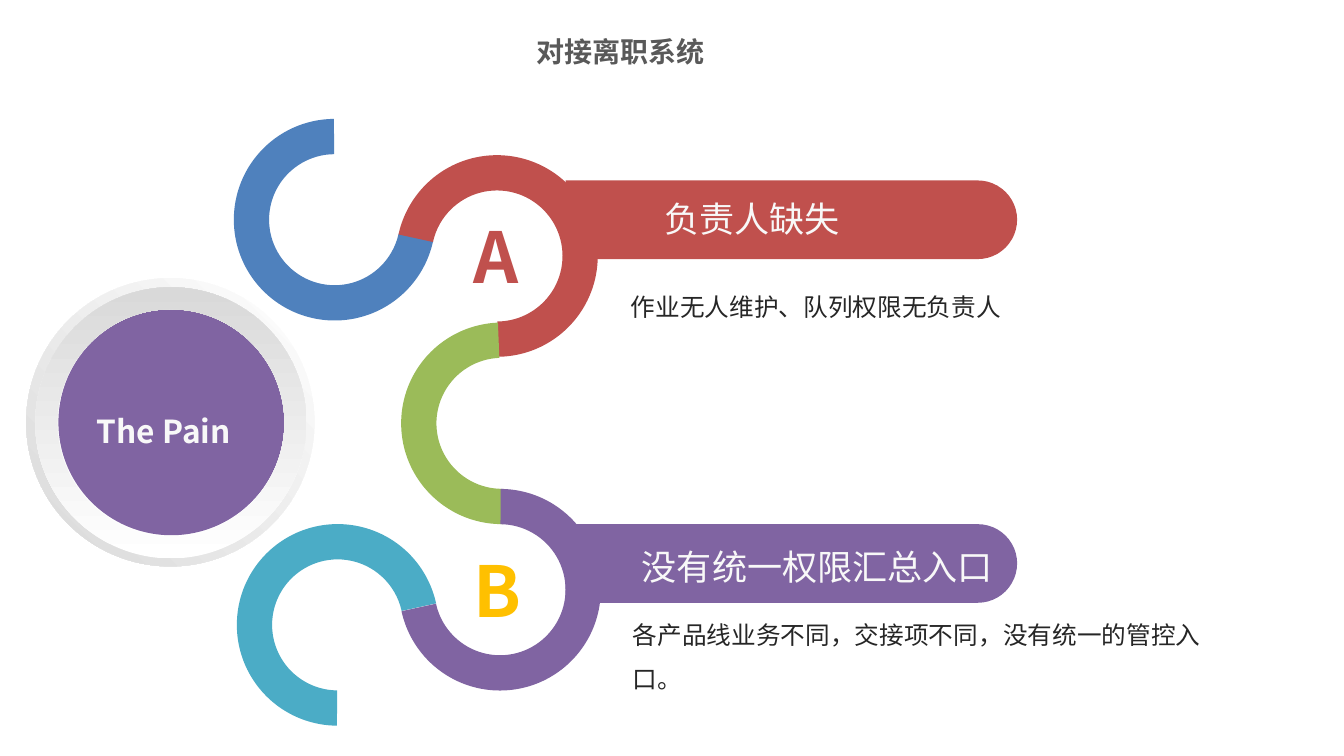
from lxml import etree
from pptx import Presentation, util as u
from pptx.dml.color import RGBColor
from pptx.enum import shapes, text
from pptx.oxml import ns

CELL = u.Inches(0.1)  # one column or row of the page grid
COLUMNS, ROWS = 133.33, 75
FONT = "Noto Sans CJK SC"

WHITE = RGBColor(0xFF, 0xFF, 0xFF)
SILVER = RGBColor(0xD9, 0xD9, 0xD9)
PALE = RGBColor(0xF8, 0xF8, 0xF8)
GREY = RGBColor(0x59, 0x59, 0x59)
INK = RGBColor(0x26, 0x26, 0x26)
BLUE = RGBColor(0x4F, 0x81, 0xBD)
RED = RGBColor(0xC0, 0x50, 0x4D)
GREEN = RGBColor(0x9B, 0xBB, 0x59)
PURPLE = RGBColor(0x80, 0x64, 0xA2)
TEAL = RGBColor(0x4B, 0xAC, 0xC6)
AMBER = RGBColor(0xFF, 0xC0, 0x00)

CENTER = text.PP_ALIGN.CENTER
ARC_SIZE, ARC_START, ARC_END, ARC_BAND = 20, 54.24, 208.61, 0.175
BAR_LEFT, BAR_LENGTH, BAR_HEIGHT = 56.1, 44.8, 7.8


def grid(*cells):
    return [round(cell * CELL) for cell in cells]


def write(frame, words, size, color, bold=False, align=None, spacing=None):
    """Fill a text frame with one styled paragraph."""
    frame.text = words
    para = frame.paragraphs[0]
    para.alignment = align
    para.line_spacing = spacing
    for span in para.runs:
        font = span.font
        font.size, font.bold, font.name = u.Pt(size), bold, FONT
        font.color.rgb = color
        east_asian = etree.SubElement(font._element, ns.qn("a:ea"))
        east_asian.set("typeface", FONT)


def add_text(owner, place, words, size, color, wrap=True, **style):
    box = owner.add_textbox(*grid(*place))
    frame = box.text_frame
    frame.word_wrap = wrap
    frame.auto_size = text.MSO_AUTO_SIZE.SHAPE_TO_FIT_TEXT
    write(frame, words, size, color, **style)


def add_preset(owner, kind, place, color=None, adjustments=()):
    shape = owner.add_shape(kind, *grid(*place))
    shape.shadow.inherit = False
    shape.line.fill.background()
    for index, value in enumerate(adjustments):
        shape.adjustments[index] = value
    if color is not None:
        shape.fill.solid()
        shape.fill.fore_color.rgb = color
    return shape


def add_ring(owner, left, top, size, band, angle):
    ring = add_preset(owner, shapes.MSO_SHAPE.DONUT, (left, top, size, size),
                      adjustments=[band])
    ring.fill.gradient()
    ring.fill.gradient_angle = angle
    for stop, color in zip(ring.fill.gradient_stops, (WHITE, SILVER)):
        stop.color.rgb = color


def add_arc(owner, left, top, color, rotation=0, flipped=False, start=ARC_START):
    arc = add_preset(owner, shapes.MSO_SHAPE.BLOCK_ARC,
                     (left, top, ARC_SIZE, ARC_SIZE), color,
                     (start, ARC_END, ARC_BAND))
    arc.rotation = rotation
    if flipped:
        arc.element.spPr.find(ns.qn("a:xfrm")).set("flipV", "1")


def add_bar(owner, top, color):
    """Add a bar rounded at its right end: an upright tab turned on its side."""
    shift = (BAR_LENGTH - BAR_HEIGHT) / 2
    bar = add_preset(owner, shapes.MSO_SHAPE.ROUND_2_SAME_RECTANGLE,
                     (BAR_LEFT + shift, top - shift, BAR_HEIGHT, BAR_LENGTH),
                     color, (0.5, 0))
    bar.rotation = 90


def add_title(page, words):
    title = page.shapes.title
    title.left, title.top, title.width, title.height = grid(46.3, 3.4, 30.6, 3.4)
    frame = title.text_frame
    frame.margin_left = frame.margin_right = frame.margin_top = frame.margin_bottom = 0
    frame.vertical_anchor = text.MSO_ANCHOR.TOP
    frame.word_wrap = True
    write(frame, words, 20, GREY, bold=True, align=CENTER)


def add_hub(page):
    hub = page.shapes.add_group_shape().shapes
    add_preset(hub, shapes.MSO_SHAPE.OVAL, (5.8, 30.7, 22.4, 22.4), PURPLE)
    add_ring(hub, 2.6, 27.6, 28.6, 0.101, 225)
    add_ring(hub, 3.5, 28.5, 26.9, 0.081, 90)
    add_text(hub, (1.3, 39.2, 29.9, 5.5), "The Pain", 22.6, PALE,
             bold=True, align=CENTER, spacing=1.3)


def main():
    deck = Presentation()
    deck.slide_width, deck.slide_height = grid(COLUMNS, ROWS)
    page = deck.slides.add_slide(deck.slide_layouts[5])
    items = page.shapes

    add_title(page, "对接离职系统")
    add_hub(page)
    add_bar(items, 52, PURPLE)
    add_bar(items, 17.9, RED)

    add_arc(items, 23.2, 11.8, BLUE, flipped=True)
    add_arc(items, 39.3, 15.4, RED, rotation=180, flipped=True)
    add_arc(items, 39.8, 32, GREEN, rotation=77.2, flipped=True, start=101.69)
    add_arc(items, 23.5, 52, TEAL)
    add_arc(items, 39.6, 48.5, PURPLE, rotation=180)

    for place, letter, color in (((46, 20.7, 7.3, 9.5), "A", RED),
                                 ((46, 53.8, 6.8, 9.5), "B", AMBER)):
        add_text(items, place, letter, 50.2, color, wrap=False, bold=True)
    for place, heading in (((64.9, 19.1, 19.6, 5.2), "负责人缺失"),
                           ((62.7, 53.6, 37.3, 5.2), "没有统一权限汇总入口")):
        add_text(items, place, heading, 25.1, PALE, wrap=False)
    for place, detail in (
            ((61.6, 27, 58.2, 4.9), "作业无人维护、队列权限无负责人"),
            ((61.8, 59.5, 59.2, 9.4),
             "各产品线业务不同，交接项不同，没有统一的管控入口。")):
        add_text(items, place, detail, 17.6, INK, spacing=1.5)

    deck.save("out.pptx")


if __name__ == "__main__":
    main()
